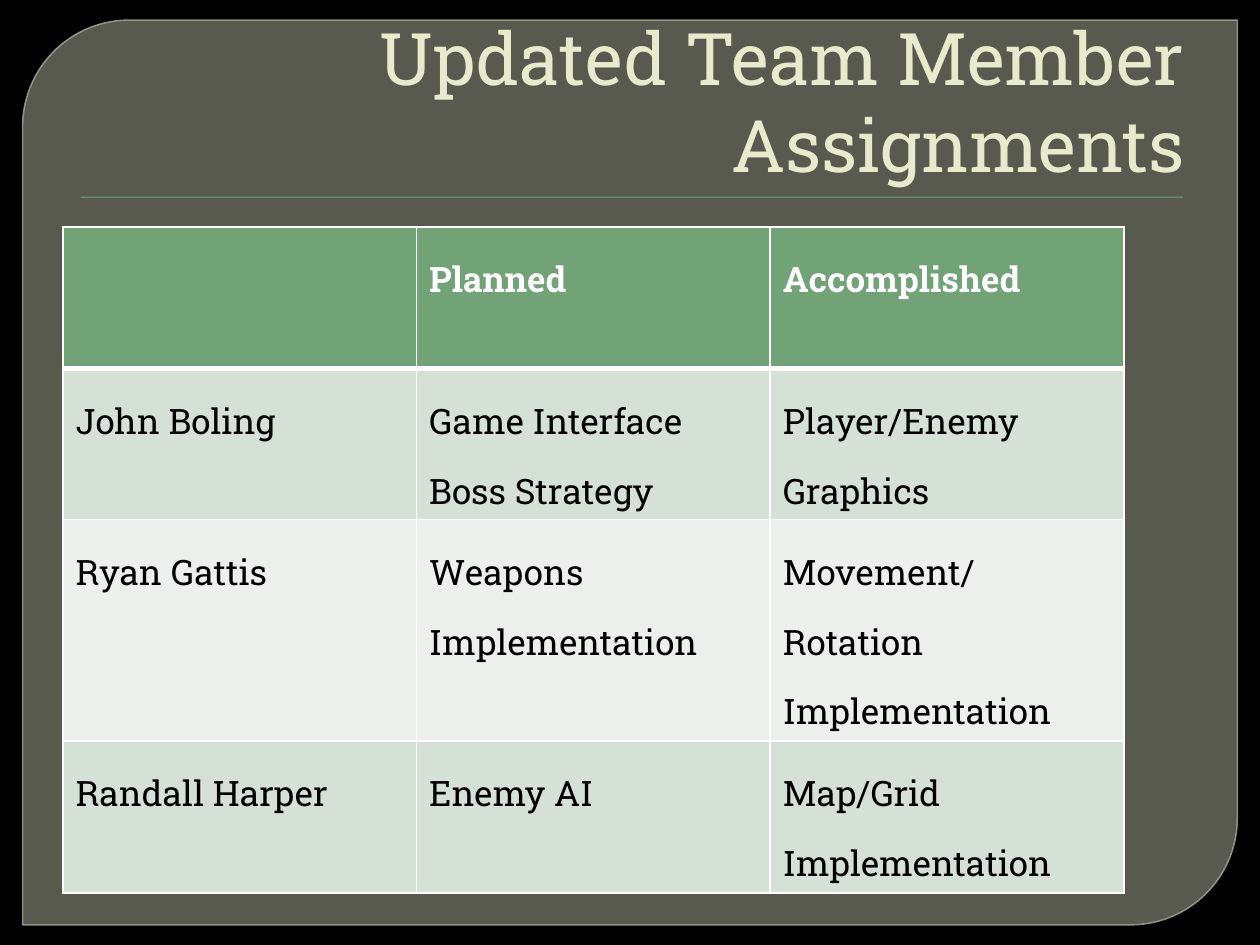
from lxml.etree import SubElement
from pptx import Presentation
from pptx.dml.color import RGBColor
from pptx.enum.shapes import MSO_SHAPE as Shape
from pptx.enum.text import MSO_ANCHOR as Anchor, PP_ALIGN as Align
from pptx.oxml import parse_xml
from pptx.oxml.ns import nsdecls, qn
from pptx.util import Inches, Pt

WIDTH, HEIGHT = Inches(10), Inches(7.5)
FONT = "Roboto Slab"
BLACK = RGBColor(0x00, 0x00, 0x00)
WHITE = RGBColor(0xFF, 0xFF, 0xFF)
PANEL = RGBColor(0x88, 0x8B, 0x7B)
PANEL_EDGE = RGBColor(0x9D, 0xA0, 0x90)
GREEN = RGBColor(0x72, 0xA3, 0x76)
CREAM = RGBColor(0xE7, 0xEA, 0xCB)
BANDS = (RGBColor(0xEB, 0xF0, 0xEC), RGBColor(0xD5, 0xE0, 0xD6))

TITLE = "Updated Team Member Assignments"
ASSIGNMENTS = (
    ("", "Planned", "Accomplished"),
    ("John Boling", "Game Interface\nBoss Strategy", "Player/Enemy Graphics"),
    ("Ryan Gattis", "Weapons Implementation", "Movement/Rotation Implementation"),
    ("Randall Harper", "Enemy AI", "Map/Grid Implementation"),
)
ROW_SHARES = (0.15, 0.16, 0.234, 0.161)


def share(left, top, width, height):
    """Turn shares of the slide's size into lengths."""
    return (int(WIDTH * left), int(HEIGHT * top),
            int(WIDTH * width), int(HEIGHT * height))


def set_opacity(fill, percent):
    """Make a solid fill partly transparent."""
    color = fill._xPr.find(qn("a:solidFill"))[0]
    SubElement(color, qn("a:alpha")).set("val", str(percent * 1000))


def style_runs(paragraph, size, color, bold=False):
    """Give every run of a paragraph its font."""
    for run in paragraph.runs:
        run.font.name = FONT
        run.font.size = Pt(size)
        run.font.bold = bold
        run.font.color.rgb = color


def add_panel(slide):
    """Draw the translucent panel with two rounded corners."""
    panel = slide.shapes.add_shape(
        Shape.ROUND_2_DIAG_RECTANGLE, *share(0.018, 0.0213, 0.964, 0.9573))
    panel.shadow.inherit = False
    panel.adjustments[0] = 0.118
    panel.adjustments[1] = 0
    panel.fill.solid()
    panel.fill.fore_color.rgb = PANEL
    set_opacity(panel.fill, 65)
    panel.line.color.rgb = PANEL_EDGE
    panel.line.width = Pt(0.87)
    set_opacity(panel.line.fill, 88)


def add_title_rule(slide):
    """Draw the thin rule under the title."""
    rule = slide.shapes.add_shape(
        Shape.RECTANGLE, *share(0.064, 0.208, 0.875, 0.0013))
    rule.shadow.inherit = False
    rule.fill.solid()
    rule.fill.fore_color.rgb = GREEN
    rule.line.fill.background()


def add_title(slide):
    """Write the right-aligned title."""
    box = slide.shapes.add_textbox(*share(0.05, 0.0373, 0.9, 0.1667))
    frame = box.text_frame
    frame.word_wrap = True
    frame.vertical_anchor = Anchor.BOTTOM
    frame.text = TITLE
    paragraph = frame.paragraphs[0]
    paragraph.alignment = Align.RIGHT
    style_runs(paragraph, 41.4, CREAM)


def set_borders(cell, top, bottom):
    """Give a cell white borders, with top and bottom widths in points."""
    widths = {"lnL": 1, "lnR": 1, "lnT": top, "lnB": bottom}
    properties = cell._tc.get_or_add_tcPr()
    for index, (side, width) in enumerate(widths.items()):
        properties.insert(index, parse_xml(
            f'<a:{side} {nsdecls("a")} w="{Pt(width)}"><a:solidFill>'
            f'<a:srgbClr val="{WHITE}"/></a:solidFill></a:{side}>'))


def fill_cell(cell, text, row):
    """Write and style one cell according to its row."""
    header = row == 0
    cell.text_frame.text = text
    for paragraph in cell.text_frame.paragraphs:
        paragraph.line_spacing = 1.5
        style_runs(paragraph, 20, WHITE if header else BLACK, header)
    cell.fill.solid()
    cell.fill.fore_color.rgb = GREEN if header else BANDS[row % 2]
    set_borders(cell, 3 if row == 1 else 1, 3 if header else 1)


def add_assignments(slide):
    """Build the table of planned and accomplished work."""
    table = slide.shapes.add_table(
        len(ASSIGNMENTS), len(ASSIGNMENTS[0]),
        *share(0.05, 0.24, 0.842, sum(ROW_SHARES))).table
    for row, (texts, height) in enumerate(zip(ASSIGNMENTS, ROW_SHARES)):
        table.rows[row].height = int(HEIGHT * height)
        for column, text in enumerate(texts):
            fill_cell(table.cell(row, column), text, row)


def main():
    """Build and save the slide."""
    presentation = Presentation()
    presentation.slide_width, presentation.slide_height = WIDTH, HEIGHT
    slide = presentation.slides.add_slide(presentation.slide_layouts[6])
    slide.background.fill.solid()
    slide.background.fill.fore_color.rgb = BLACK
    add_panel(slide)
    add_title_rule(slide)
    add_title(slide)
    add_assignments(slide)
    presentation.save("out.pptx")


if __name__ == "__main__":
    main()
